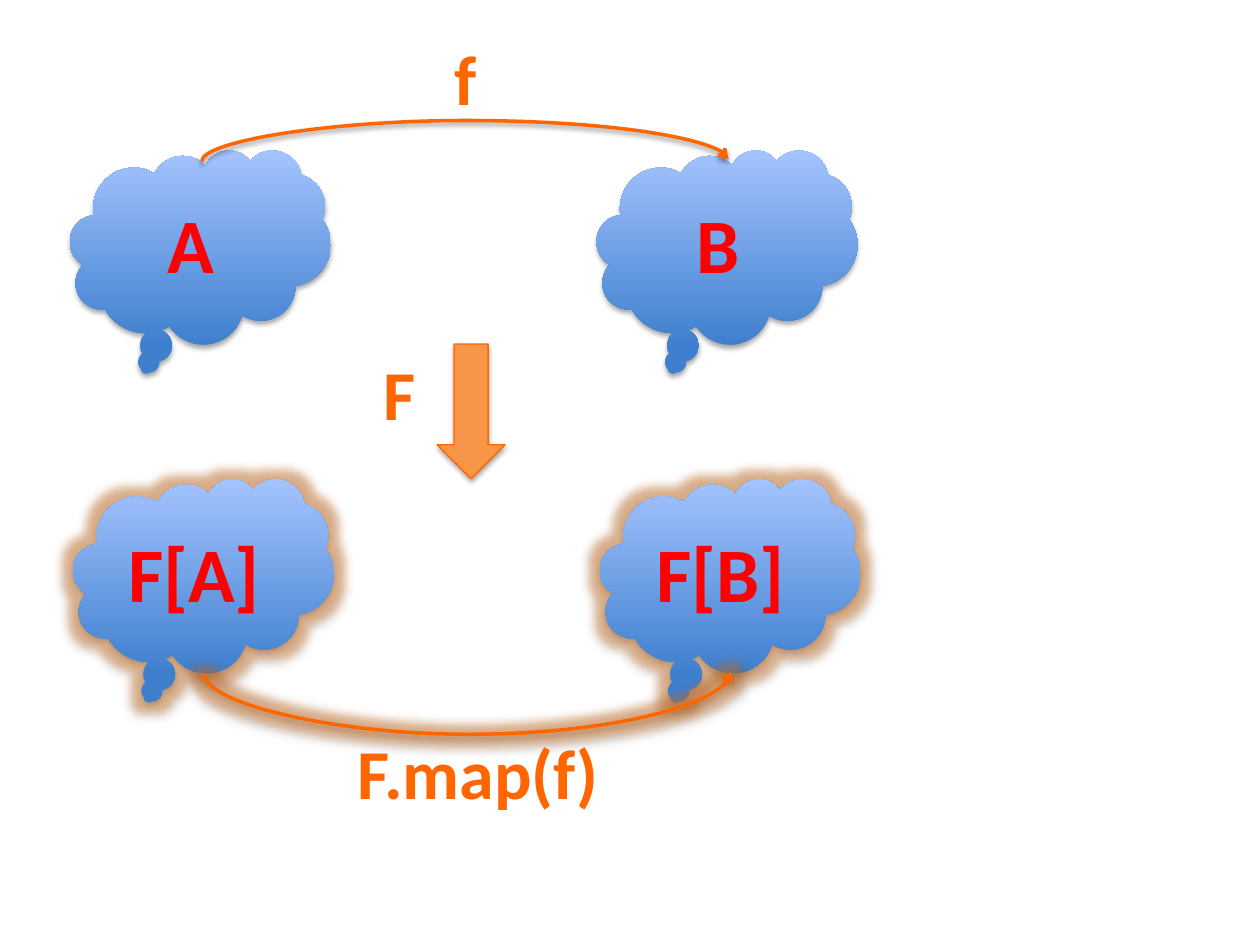
from lxml import etree
from pptx import Presentation
from pptx.dml.color import RGBColor
from pptx.enum import shapes as sh, text as tx
from pptx.oxml.ns import qn
from pptx.util import Pt

DEEP = RGBColor(0x3F, 0x80, 0xCE)
PALE = RGBColor(0xA4, 0xC4, 0xFF)
RED = RGBColor(0xFF, 0x00, 0x00)
ORANGE = RGBColor(0xFF, 0x66, 0x00)
AMBER = RGBColor(0xF7, 0x96, 0x46)
HALO = RGBColor(0xD8, 0x78, 0x28)
BLACK = RGBColor(0x00, 0x00, 0x00)

SPAN = 301              # from the left cloud to the right one
WIDE, HIGH = 149, 111   # size of a cloud


def add_tint(owner, color, alpha):
    tint = etree.SubElement(owner, qn("a:srgbClr"), val=str(color))
    etree.SubElement(tint, qn("a:alpha"), val=str(alpha * 1000))


def add_glow(item, alpha, dist, halo):
    """Give an item its soft shadow and, if asked, a halo."""
    fx = etree.SubElement(item._element.spPr, qn("a:effectLst"))
    if halo:
        glow = etree.SubElement(fx, qn("a:glow"), rad=str(Pt(11)))
        add_tint(glow, HALO, 45)
    drop = etree.SubElement(fx, qn("a:outerShdw"), blurRad=str(Pt(3.1)),
                            dist=str(Pt(dist)), dir="5400000", rotWithShape="0")
    add_tint(drop, BLACK, alpha)


def set_words(frame, words, size, color):
    frame.text = words
    font = frame.paragraphs[0].runs[0].font
    font.name, font.size, font.bold = "Calibri", Pt(size), True
    font.color.rgb = color


def add_cloud(slide, left, top, name, halo):
    cloud = slide.shapes.add_shape(sh.MSO_SHAPE.CLOUD_CALLOUT, Pt(left), Pt(top),
                                   Pt(WIDE), Pt(HIGH))
    cloud.fill.gradient()
    cloud.fill.gradient_angle = 90
    for stop, color in zip(cloud.fill.gradient_stops, (DEEP, PALE)):
        stop.color.rgb = color
    cloud.line.fill.background()
    add_glow(cloud, 35, 1.8, halo)
    frame = cloud.text_frame
    frame.vertical_anchor = tx.MSO_ANCHOR.MIDDLE
    set_words(frame, name, 44, RED)
    frame.paragraphs[0].alignment = tx.PP_ALIGN.CENTER


def add_curve(slide, left, low, bend, halo):
    """Arc from (left, low) across SPAN; bend is its height, upward if positive."""
    rise = 1
    midx, midy = left + SPAN / 2, low - rise / 2
    # An upright connector turned a quarter, so that it bows up or down
    arc = slide.shapes.add_connector(
        sh.MSO_CONNECTOR.CURVE,
        Pt(midx + rise / 2), Pt(midy + SPAN / 2),
        Pt(midx - rise / 2), Pt(midy - SPAN / 2))
    props = arc._element.spPr
    props.find(qn("a:xfrm")).set("rot", "5400000")
    geom = props.find(qn("a:prstGeom"))
    guides = geom.find(qn("a:avLst"))
    if guides is None:
        guides = etree.SubElement(geom, qn("a:avLst"))
    etree.SubElement(guides, qn("a:gd"), name="adj1",
                     fmla=f"val {round(bend / rise * 100000)}")
    arc.line.color.rgb = ORANGE
    arc.line.width = Pt(2)
    etree.SubElement(props.find(qn("a:ln")), qn("a:tailEnd"), type="arrow")
    add_glow(arc, 38, 1.6, halo)


def add_label(slide, left, top, width, words):
    box = slide.shapes.add_textbox(Pt(left), Pt(top), Pt(width), Pt(55.5))
    frame = box.text_frame
    frame.word_wrap = False
    frame.auto_size = tx.MSO_AUTO_SIZE.SHAPE_TO_FIT_TEXT
    set_words(frame, words, 40, ORANGE)


def add_row(slide, left, top, names, start, bend, halo=False):
    """Two clouds joined by an arc that begins at start, relative to the row."""
    for col, name in enumerate(names):
        add_cloud(slide, left + col * SPAN, top, name, halo)
    add_curve(slide, left + start[0], top + start[1], bend, halo)


def add_functor(slide, left, top, width, height):
    """Block arrow from the upper row to the lower one, with its label."""
    arrow = slide.shapes.add_shape(sh.MSO_SHAPE.DOWN_ARROW, Pt(left), Pt(top),
                                   Pt(width), Pt(height))
    arrow.fill.solid()
    arrow.fill.fore_color.rgb = AMBER
    arrow.line.color.rgb = ORANGE
    arrow.line.width = Pt(0.75)
    add_glow(arrow, 35, 1.8, False)
    add_label(slide, left - 37.5, top, 33, "F")


def main():
    deck = Presentation()
    deck.slide_width, deck.slide_height = Pt(720), Pt(540)
    slide = deck.slides.add_slide(deck.slide_layouts[6])

    # Upper row: plain types
    add_row(slide, 40, 85.7, ("A", "B"), (75.3, 6.5), 23.5)
    add_label(slide, 252.7, 16.5, 27.4, "f")

    # Lower row: lifted types
    add_row(slide, 41.8, 273.6, ("F[A]", "F[B]"), (74.9, 111.3), -35, halo=True)
    add_label(slide, 197.3, 413.3, 156.2, "F.map(f)")

    # Functor between the rows
    add_functor(slide, 249.8, 196.6, 38.9, 77)

    deck.save("out.pptx")


if __name__ == "__main__":
    main()
